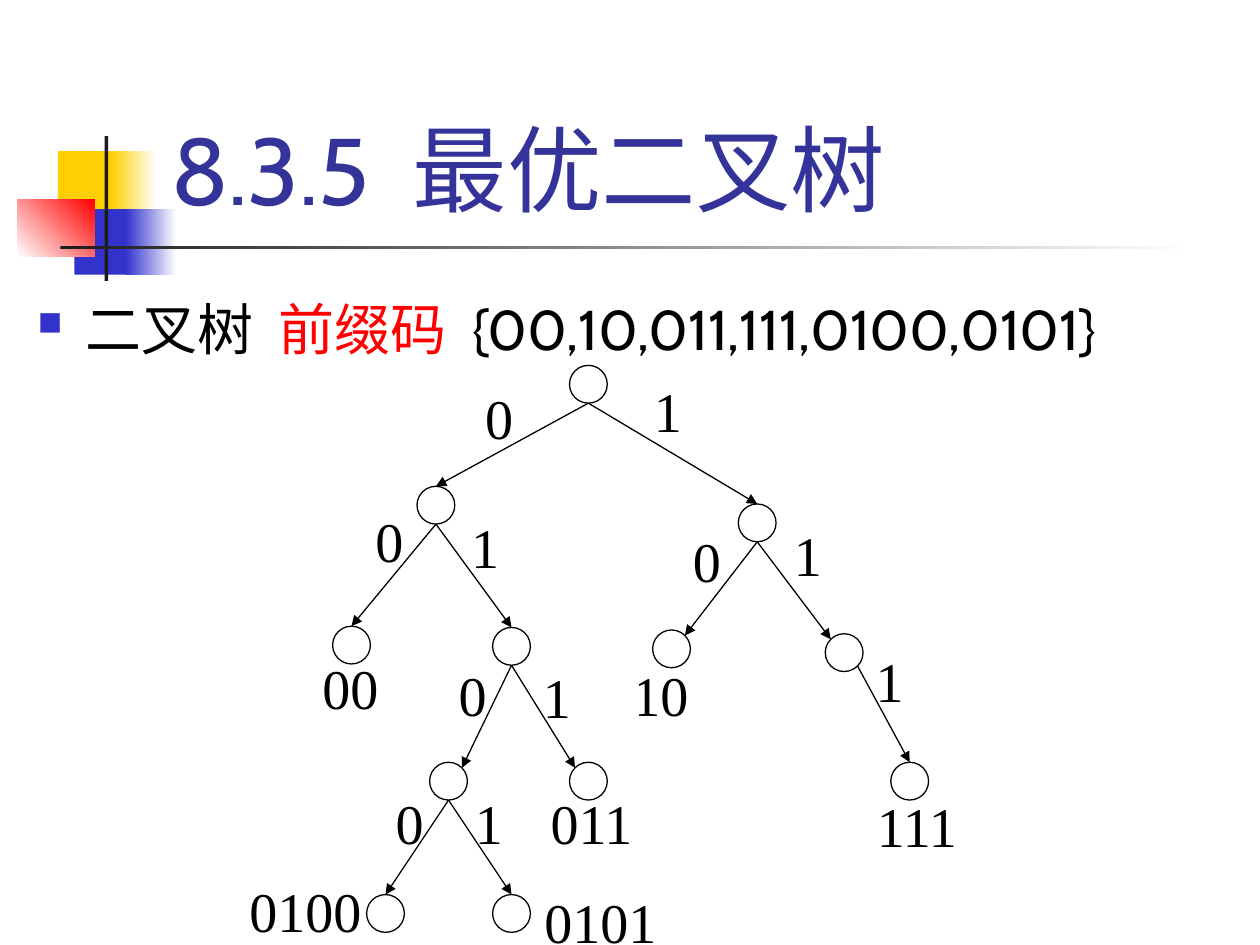
import pptx
import pptx.util
import pptx.dml.color
import pptx.enum.shapes
import pptx.enum.text
import pptx.oxml.ns
from lxml import etree
from math import sqrt
from pptx.util import Inches

COLORS = {
    "white": "FFFFFF", "black": "000000", "ink": "1C1C1C", "yellow": "FFCF01",
    "blue": "3333CC", "red": "FF0000", "title": "333399",
}
SHAPES = pptx.enum.shapes.MSO_SHAPE
RADIUS = 0.15
DIAGONAL = RADIUS / sqrt(2)

# Points on a node's circle, as offsets from its centre
SITES = {
    "top": (0, -RADIUS), "bottom": (0, RADIUS),
    "top left": (-DIAGONAL, -DIAGONAL), "top right": (DIAGONAL, -DIAGONAL),
    "bottom right": (DIAGONAL, DIAGONAL),
}

# Decoration: left, top, width, height, first colour, last colour, angle
DECORATION = [
    (0.46, 1.2, 0.48, 0.52, "yellow", None, 0),
    (0.88, 1.2, 0.36, 0.52, "yellow", "white", 0),
    (0.59, 1.66, 0.46, 0.52, "blue", None, 0),
    (1, 1.66, 0.4, 0.52, "blue", "white", 0),
    (0.14, 1.58, 0.61, 0.46, "white", "red", 45),
    (0.83, 1.08, 0.03, 1.15, "ink", None, 0),
    (0.48, 1.95, 9, 0.03, "ink", "white", 0),
]

# Each node is named by its path from the root: centre x, centre y
NODES = {
    "": (4.67, 3.05), "0": (3.46, 4.01), "1": (6.01, 4.15),
    "00": (2.79, 5.12), "01": (4.06, 5.13), "10": (5.33, 5.15), "11": (6.7, 5.18),
    "010": (3.56, 6.2), "011": (4.67, 6.2), "111": (7.22, 6.2),
    "0100": (3.06, 7.25), "0101": (4.06, 7.25),
}
# Edges that do not run from the parent's bottom to the child's top
START_SITES = {"111": "bottom right"}
END_SITES = {"10": "top right", "11": "top left", "010": "top right", "011": "top left"}

# Left, top, width of the code words under the leaves
LEAF_LABELS = {
    "0100": (1.87, 6.9, 1.23), "0101": (4.21, 6.98, 1.25), "00": (2.45, 5.13, 0.87),
    "011": (4.26, 6.2, 1.06), "111": (6.85, 6.22, 1.15), "10": (4.91, 5.18, 0.87),
}
# Left, top, width of the bit beside the edge into each node
BIT_LABELS = {
    "111": (6.84, 5.07, 0.87), "011": (4.2, 5.2, 0.87), "010": (3.53, 5.18, 0.6),
    "0100": (3.03, 6.2, 0.74), "0101": (3.66, 6.2, 0.7), "00": (2.87, 3.96, 0.87),
    "01": (3.63, 4.01, 0.87), "10": (5.39, 4.12, 0.87), "11": (6.19, 4.07, 0.87),
    "0": (3.74, 2.98, 0.87), "1": (5.08, 2.93, 0.87),
}


def rgb(name):
    return pptx.dml.color.RGBColor.from_string(COLORS[name])


def format_span(span, size, font, color):
    span.font.size = pptx.util.Pt(size)
    span.font.name = font
    span.font.color.rgb = rgb(color)


def add_child(parent, tag, **attributes):
    return etree.SubElement(parent, pptx.oxml.ns.qn(tag), **attributes)


def add_filled_shape(page, kind, place, color, line=None):
    shape = page.shapes.add_shape(kind, *map(Inches, place))
    shape.shadow.inherit = False
    shape.fill.solid()
    shape.fill.fore_color.rgb = rgb(color)
    if line:
        shape.line.color.rgb = rgb(line)
        shape.line.width = pptx.util.Pt(0.75)
    else:
        shape.line.fill.background()
    return shape


def add_decoration(page):
    for *place, first, last, angle in DECORATION:
        shape = add_filled_shape(page, SHAPES.RECTANGLE, place, first)
        if last:
            shape.fill.gradient()
            shape.fill.gradient_angle = angle
            for stop, color in zip(shape.fill.gradient_stops, (first, last)):
                stop.color.rgb = rgb(color)


def add_text_box(page, place):
    box = page.shapes.add_textbox(*map(Inches, place))
    box.text_frame.word_wrap = True
    return box.text_frame


def add_title(page):
    frame = add_text_box(page, (1.26, 0.23, 8.52, 1.6))
    frame.vertical_anchor = pptx.enum.text.MSO_ANCHOR.BOTTOM
    frame.text = "8.3.5  最优二叉树"
    format_span(frame.paragraphs[0].runs[0], 54, "Cabin", "title")


def add_bullet_line(page):
    para = add_text_box(page, (0.2, 2.02, 9.8, 5.48)).paragraphs[0]
    properties = para._p.get_or_add_pPr()
    properties.set("marL", str(Inches(0.38)))
    properties.set("indent", str(Inches(-0.38)))
    add_child(add_child(properties, "a:buClr"), "a:srgbClr", val=COLORS["blue"])
    add_child(properties, "a:buSzPct", val="60000")
    add_child(properties, "a:buChar", char="■")
    para.line_spacing = 1.5
    for text, color in (("二叉树  ", "black"), ("前缀码  ", "red"),
                        ("{00,10,011,111,0100,0101}", "black")):
        span = para.add_run()
        span.text = text
        format_span(span, 32, "Cabin", color)


def add_label(page, text, left, top, width):
    place = (left, top, width, 0.85)
    frame = add_filled_shape(page, SHAPES.RECTANGLE, place, "white", "white").text_frame
    frame.margin_left = frame.margin_right = Inches(0.11)
    frame.margin_top = frame.margin_bottom = Inches(0.06)
    frame.vertical_anchor = pptx.enum.text.MSO_ANCHOR.TOP
    frame.text = text
    para = frame.paragraphs[0]
    para.alignment = pptx.enum.text.PP_ALIGN.LEFT
    format_span(para.runs[0], 32, "Times New Roman", "black")


def add_node(page, x, y):
    place = (x - RADIUS, y - RADIUS, 2 * RADIUS, 2 * RADIUS)
    add_filled_shape(page, SHAPES.OVAL, place, "white", "black")


def site_point(code, site):
    return [Inches(center + offset) for center, offset in zip(NODES[code], SITES[site])]


def add_edge(page, code):
    start = site_point(code[:-1], START_SITES.get(code, "bottom"))
    end = site_point(code, END_SITES.get(code, "top"))
    arrow = page.shapes.add_connector(
        pptx.enum.shapes.MSO_CONNECTOR.STRAIGHT, *start, *end)
    arrow.line.color.rgb = rgb("black")
    arrow.line.width = pptx.util.Pt(0.75)
    add_child(arrow.line._get_or_add_ln(), "a:tailEnd", type="triangle")
    add_child(arrow._element.spPr, "a:effectLst")


def add_tree(page):
    # Labels lie behind the nodes and arrows
    for code, place in LEAF_LABELS.items():
        add_label(page, code, *place)
    for code, place in BIT_LABELS.items():
        add_label(page, code[-1], *place)
    for center in NODES.values():
        add_node(page, *center)
    for code in filter(None, NODES):
        add_edge(page, code)


def main():
    deck = pptx.Presentation()
    deck.slide_width, deck.slide_height = Inches(10), Inches(7.5)
    page = deck.slides.add_slide(deck.slide_layouts[6])
    add_decoration(page)
    add_title(page)
    add_bullet_line(page)
    add_tree(page)
    deck.save("out.pptx")


if __name__ == "__main__":
    main()
